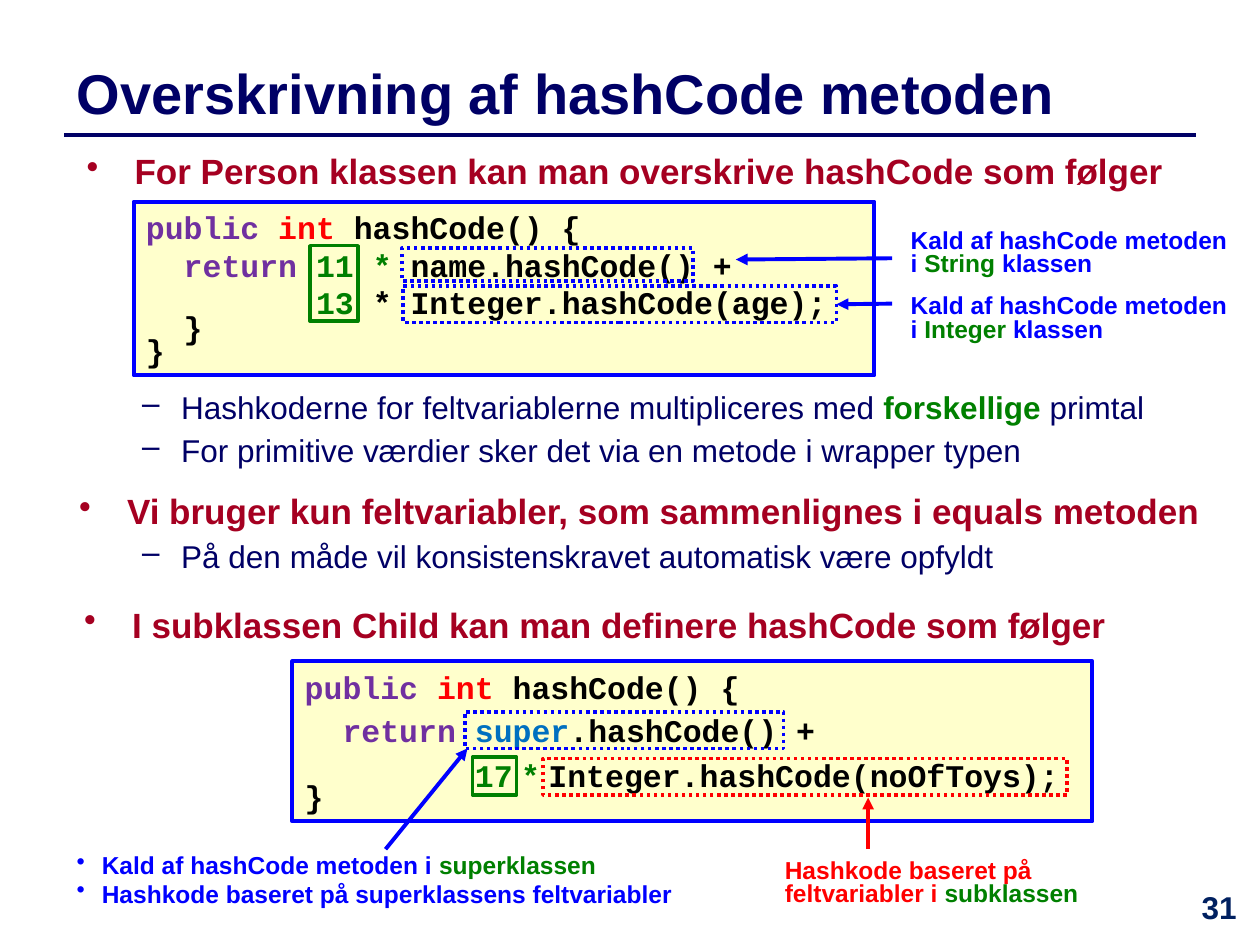
import pptx
import pptx.dml.color
import pptx.enum.dml
import pptx.enum.shapes
import pptx.enum.text
import pptx.oxml.ns
import pptx.util
from dataclasses import dataclass
from lxml import etree

Inches = pptx.util.Inches
Pt = pptx.util.Pt
PP_ALIGN = pptx.enum.text.PP_ALIGN
ANCHOR = pptx.enum.text.MSO_ANCHOR
SHAPE = pptx.enum.shapes.MSO_SHAPE
DOTTED = pptx.enum.dml.MSO_LINE.ROUND_DOT


@dataclass(frozen=True)
class Theme:
    """Fonts, type sizes and colours of the slide."""
    sans: str = "Arial"
    mono: str = "Courier New"
    title: int = 32
    heading: int = 20
    body: int = 18
    note: int = 14
    gap: int = 8
    navy: str = "000066"
    number: str = "002060"
    crimson: str = "A50021"
    blue: str = "0000FF"
    red: str = "FF0000"
    green: str = "008000"
    purple: str = "7030A0"
    sky: str = "0070C0"
    black: str = "000000"
    cream: str = "FFFFCC"


T = Theme()


def rgb(value):
    """Turn a hex string into a colour."""
    return pptx.dml.color.RGBColor.from_string(value)


def add_run(p, text, color, size=T.body, font=T.sans, bold=True):
    """Append one formatted run to a paragraph."""
    r = p.add_run()
    r.text = text
    r.font.name = font
    r.font.size = Pt(size)
    r.font.bold = bold
    r.font.color.rgb = rgb(color)


def add_paragraph(tf, runs, before=None, spacing=None, bullet=None, indent=0,
                  hang=0, align=PP_ALIGN.LEFT, **fmt):
    """Add a paragraph of (text, colour[, overrides]) runs, filling an empty first one."""
    p = tf.paragraphs[0]
    if p.runs:
        p = tf.add_paragraph()
        if before is not None:
            p.space_before = Pt(before)
    p.alignment = align
    if spacing:
        p.line_spacing = spacing
    if bullet:
        pPr = p._p.get_or_add_pPr()
        pPr.set("marL", str(Inches(indent)))
        pPr.set("indent", str(-Inches(hang)))
        etree.SubElement(pPr, pptx.oxml.ns.qn("a:buChar")).set("char", bullet)
    for text, color, *extra in runs:
        add_run(p, text, color, **{**fmt, **(extra[0] if extra else {})})


def add_textbox(s, x, y, w, h):
    """Add a wrapping text box."""
    sp = s.shapes.add_textbox(Inches(x), Inches(y), Inches(w), Inches(h))
    sp.text_frame.word_wrap = True
    return sp


def add_heading(tf, text):
    """Add a top-level bullet."""
    add_paragraph(tf, [(text, T.crimson)], size=T.heading, before=12,
                  bullet="•", indent=0.38, hang=0.38)


def add_dash(tf, *runs):
    """Add a second-level bullet."""
    add_paragraph(tf, runs, bold=False, before=3, bullet="–", indent=0.81, hang=0.31)


def add_note(s, x, y, w, *runs):
    """Add a small explanatory label."""
    sp = add_textbox(s, x, y, w, 0.48)
    add_paragraph(sp.text_frame, runs, size=T.note, spacing=0.8)


def add_box(s, x, y, w, h, color, fill=None, width=2, dash=None):
    """Add an outlined rectangle."""
    sp = s.shapes.add_shape(SHAPE.RECTANGLE, Inches(x), Inches(y), Inches(w), Inches(h))
    sp.shadow.inherit = False
    if fill:
        sp.fill.solid()
        sp.fill.fore_color.rgb = rgb(fill)
    else:
        sp.fill.background()
    sp.line.color.rgb = rgb(color)
    sp.line.width = Pt(width)
    if dash:
        sp.line.dash_style = dash
    return sp


def add_code(s, x, y, w, h, lines):
    """Add a code panel from (runs, paragraph format) lines."""
    tf = add_box(s, x, y, w, h, T.blue, fill=T.cream, width=2.25).text_frame
    tf.word_wrap = True
    tf.vertical_anchor = ANCHOR.TOP
    for runs, fmt in lines:
        add_paragraph(tf, runs, font=T.mono, **fmt)


def add_line(s, x1, y1, x2, y2, color, width=2.25, arrow=True):
    """Add a straight line, with an arrowhead at its end by default."""
    cx = s.shapes.add_connector(pptx.enum.shapes.MSO_CONNECTOR.STRAIGHT,
                                Inches(x1), Inches(y1), Inches(x2), Inches(y2))
    cx.line.color.rgb = rgb(color)
    cx.line.width = Pt(width)
    if arrow:
        ln = cx.line._get_or_add_ln()
        etree.SubElement(ln, pptx.oxml.ns.qn("a:tailEnd")).set("type", "triangle")
    etree.SubElement(cx._element.spPr, pptx.oxml.ns.qn("a:effectLst"))
    return cx


def add_title(s, text):
    """Place and format the title above its rule."""
    sp = s.shapes.title
    sp.left, sp.top, sp.width, sp.height = map(Inches, (0.51, 0.36, 8.98, 0.75))
    tf = sp.text_frame
    tf.auto_size = pptx.enum.text.MSO_AUTO_SIZE.NONE
    tf.vertical_anchor = ANCHOR.MIDDLE
    add_paragraph(tf, [(text, T.navy)], size=T.title)
    add_line(s, 0.51, 1.07, 9.49, 1.07, T.navy, width=2, arrow=False)


def add_person_code(s):
    """Add the Person example with its highlights and notes."""
    signature = [("public ", T.purple), ("int ", T.red), ("hashCode() {", T.black)]
    add_code(s, 1.06, 1.6, 5.88, 1.38, [
        (signature, {}),
        ([("  return ", T.purple), ("11 * ", T.green), ("name.hashCode() +", T.black)], {}),
        ([("         ", T.black), ("13 ", T.green), ("* Integer.hashCode(age);", T.black)], {}),
        ([("  }", T.black)], {"spacing": 0.6}),
        ([("}", T.black)], {"spacing": 0.6}),
    ])
    add_box(s, 2.46, 1.95, 0.38, 0.6, T.green)
    add_box(s, 3.19, 1.97, 2.31, 0.26, T.blue, dash=DOTTED)
    integer_call = add_box(s, 3.2, 2.27, 3.44, 0.29, T.blue, dash=DOTTED)
    add_line(s, 7.08, 2.05, 5.84, 2.06, T.blue)
    add_line(s, 7.08, 2.41, 6.64, 2.41, T.blue).end_connect(integer_call, 3)
    for y, name in ((1.78, "String"), (2.3, "Integer")):
        add_note(s, 7.13, y, 2.76, ("Kald af hashCode metoden i ", T.blue),
                 (name, T.green), (" klassen", T.blue))


def add_child_code(s):
    """Add the Child example with its highlights and notes."""
    signature = [("public ", T.purple), ("int ", T.red), ("hashCode() {", T.black)]
    narrow = (" ", T.green, {"size": T.gap})
    add_code(s, 2.32, 5.25, 6.35, 1.27, [
        (signature, {}),
        ([("  return ", T.purple), ("super", T.sky), (".hashCode() +", T.black)], {"before": 3}),
        ([("         ", T.black), ("17", T.green), narrow, ("*", T.green), narrow,
          ("Integer.hashCode(noOfToys);", T.black)], {"before": 4}),
        ([("}", T.black)], {"spacing": 0.5}),
    ])
    add_box(s, 3.69, 5.65, 2.53, 0.29, T.blue, dash=DOTTED)
    add_box(s, 3.75, 6.01, 0.35, 0.3, T.green)
    add_box(s, 4.31, 6.02, 4.16, 0.29, T.red, dash=DOTTED)
    super_notes = add_textbox(s, 0.51, 6.74, 5.1, 0.52)
    for runs in ([("Kald af hashCode metoden i ", T.blue), ("superklassen", T.green)],
                 [("Hashkode baseret på superklassens feltvariabler", T.blue)]):
        add_paragraph(super_notes.text_frame, runs, size=T.note, before=3, spacing=0.8,
                      bullet="•", indent=0.2, hang=0.2)
    add_line(s, 3.06, 6.74, 3.71, 5.94, T.blue).begin_connect(super_notes, 0)
    add_line(s, 6.89, 6.74, 6.89, 6.33, T.red)
    add_note(s, 6.13, 6.78, 2.89, ("Hashkode baseret på feltvariabler i ", T.red),
             ("subklassen", T.green))


def main():
    """Build and save the slide."""
    prs = pptx.Presentation()
    prs.slide_width, prs.slide_height = Inches(10), Inches(7.5)
    s = prs.slides.add_slide(prs.slide_layouts[5])
    add_title(s, "Overskrivning af hashCode metoden")
    add_heading(add_textbox(s, 0.59, 1.14, 8.96, 0.43).text_frame,
                "For Person klassen kan man overskrive hashCode som følger")
    add_person_code(s)
    tf = add_textbox(s, 0.53, 3.03, 9.19, 1.67).text_frame
    add_dash(tf, ("Hashkoderne for feltvariablerne multipliceres med ", T.navy),
             ("forskellige ", T.green, {"bold": True}), ("primtal", T.navy))
    add_dash(tf, ("For primitive værdier sker det via en metode i wrapper typen", T.navy))
    add_heading(tf, "Vi bruger kun feltvariabler, som sammenlignes i equals metoden")
    add_dash(tf, ("På den måde vil konsistenskravet automatisk være opfyldt", T.navy))
    add_heading(add_textbox(s, 0.57, 4.74, 9.15, 0.48).text_frame,
                "I subklassen Child kan man definere hashCode som følger")
    add_child_code(s)
    add_paragraph(add_textbox(s, 9.32, 7, 0.71, 0.5).text_frame, [("31", T.number)],
                  align=PP_ALIGN.CENTER)
    prs.save("out.pptx")


if __name__ == "__main__":
    main()
